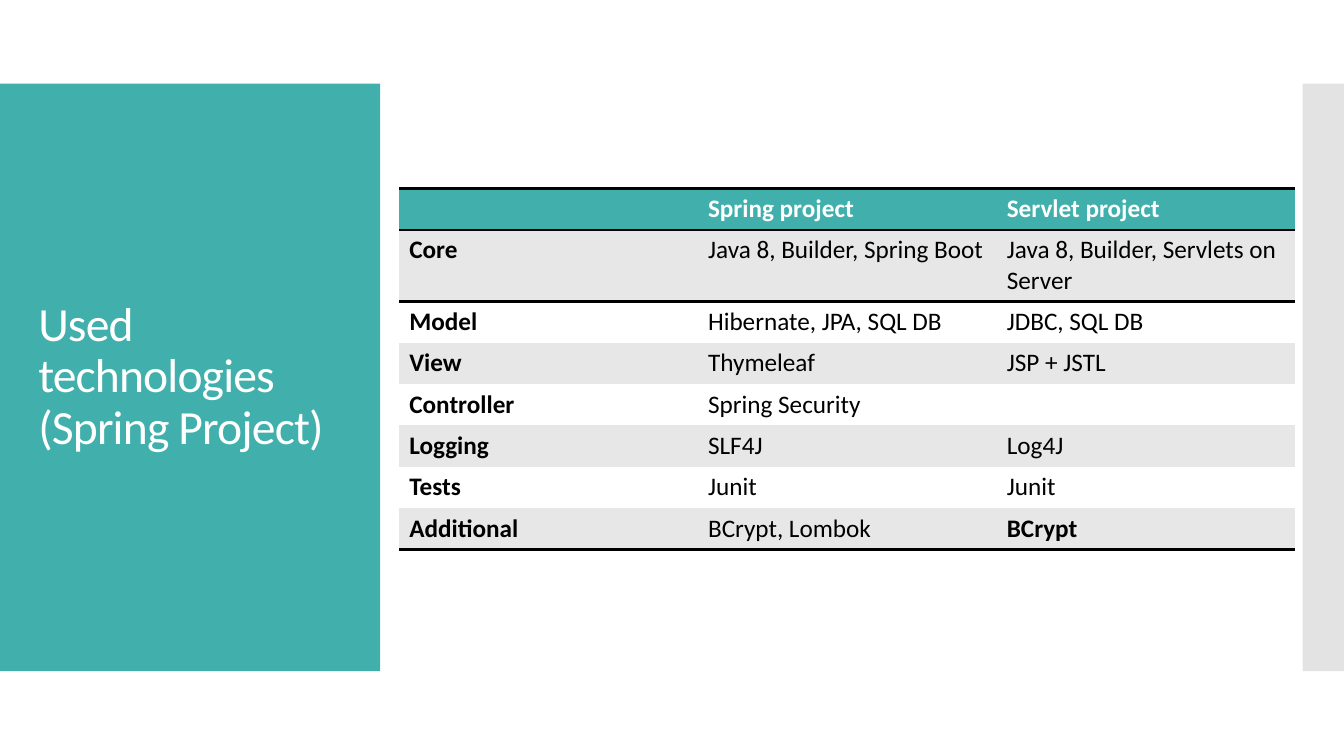
"""Build the slide that compares the technologies of two projects."""
from lxml import etree
from pptx import Presentation
from pptx.dml.color import RGBColor
from pptx.enum.shapes import MSO_SHAPE
from pptx.enum.text import MSO_ANCHOR, MSO_AUTO_SIZE, PP_ALIGN
from pptx.oxml.ns import qn
from pptx.util import Inches, Pt

RECTANGLE = MSO_SHAPE.RECTANGLE
MIDDLE = MSO_ANCHOR.MIDDLE
NO_AUTOFIT = MSO_AUTO_SIZE.NONE
LEFT = PP_ALIGN.LEFT
TEAL = RGBColor(0x41, 0xB0, 0xAD)
GREY = RGBColor(0xC8, 0xC8, 0xC8)
BAND = RGBColor(0xE7, 0xE7, 0xE7)
WHITE = RGBColor(0xFF, 0xFF, 0xFF)
BLACK = RGBColor(0x00, 0x00, 0x00)
PLAIN_TABLE = "{2D5ABB26-0587-4C30-8999-92F81FD0307C}"
ROWS = [
    ("", "Spring project", "Servlet project"),
    ("Core", "Java 8, Builder, Spring Boot", "Java 8, Builder, Servlets on Server"),
    ("Model", "Hibernate, JPA, SQL DB", "JDBC, SQL DB"),
    ("View", "Thymeleaf", "JSP + JSTL"),
    ("Controller", "Spring Security", ""),
    ("Logging", "SLF4J", "Log4J"),
    ("Tests", "Junit", "Junit"),
    ("Additional", "BCrypt, Lombok", "BCrypt"),
]
ROW_HEIGHTS = [0.41, 0.71] + [0.41] * 6


class SlideBuilder:
    """Hold the text style and the current page."""

    def __init__(self, page, font_name):
        """Remember the page and its font."""
        self.page = page
        self.font_name = font_name

    def style(self, para, **values):
        """Format every span of a paragraph."""
        color = values.pop("color")
        for span in para.runs:
            for name, value in {"name": self.font_name, **values}.items():
                setattr(span.font, name, value)
            span.font.color.rgb = color

    def panel(self, place, color, opacity=100):
        """Draw a plain rectangle."""
        box = self.page.shapes.add_shape(RECTANGLE, *map(Inches, place))
        box.shadow.inherit = False
        box.fill.solid()
        box.fill.fore_color.rgb = color
        box.line.fill.background()
        if opacity < 100:
            shade = box.fill._xPr.find(".//" + qn("a:srgbClr"))
            etree.SubElement(shade, qn("a:alpha"), val=str(opacity * 1000))

    def title(self, place, text):
        """Place the title in front of the panels."""
        box = self.page.shapes.title
        self.page.shapes._spTree.append(box._element)
        for name, value in zip(("left", "top", "width", "height"), place):
            setattr(box, name, Inches(value))
        frame = box.text_frame
        frame.text = text
        settings = {"word_wrap": True, "auto_size": NO_AUTOFIT, "vertical_anchor": MIDDLE}
        for name, value in settings.items():
            setattr(frame, name, value)
        para = frame.paragraphs[0]
        para.alignment = LEFT
        para.line_spacing = 0.9
        self.style(para, size=Pt(34), bold=False, color=WHITE)
        for span in para.runs:
            span.font._element.set("spc", "-60")

    def border(self, cell, sides):
        """Rule the given sides of a cell in black."""
        properties = cell._tc.get_or_add_tcPr()
        for index, side in enumerate(sides):
            line = etree.Element(qn("a:ln" + side), w=str(Pt(2)))
            fill = etree.SubElement(line, qn("a:solidFill"))
            etree.SubElement(fill, qn("a:srgbClr"), val=str(BLACK))
            properties.insert(index, line)

    def table(self, place, rows, heights):
        """Add a banded table with a ruled header and bottom edge."""
        frame = self.page.shapes.add_table(len(rows), len(rows[0]), *map(Inches, place))
        grid = frame.table
        grid._tbl.tblPr.find(qn("a:tableStyleId")).text = PLAIN_TABLE
        last = len(rows) - 1
        rules = {0: "TB", 1: "T", last: "B"}
        for row, (texts, height) in enumerate(zip(rows, heights)):
            grid.rows[row].height = Inches(height)
            for column, text in enumerate(texts):
                cell = grid.cell(row, column)
                cell.fill.solid()
                cell.fill.fore_color.rgb = TEAL if row == 0 else BAND if row % 2 else WHITE
                self.border(cell, rules.get(row, ""))
                cell.text = text
                strong = row == 0 or column == 0 or (row, column) == (last, 2)
                color = WHITE if row == 0 else BLACK
                self.style(cell.text_frame.paragraphs[0], size=Pt(18), bold=strong, color=color)


deck = Presentation()
deck.slide_width = Inches(13.33)
deck.slide_height = Inches(7.5)
builder = SlideBuilder(deck.slides.add_slide(deck.slide_layouts[5]), "Calibri")
builder.panel((0, 0.83, 3.77, 5.83), TEAL)
builder.panel((12.92, 0.83, 0.41, 5.83), GREY, opacity=50)
builder.title((0.28, 1.23, 3.22, 5.03), "Used technologies\v(Spring Project)")
builder.table((3.96, 1.87, 8.89, sum(ROW_HEIGHTS)), ROWS, ROW_HEIGHTS)
deck.save("out.pptx")
